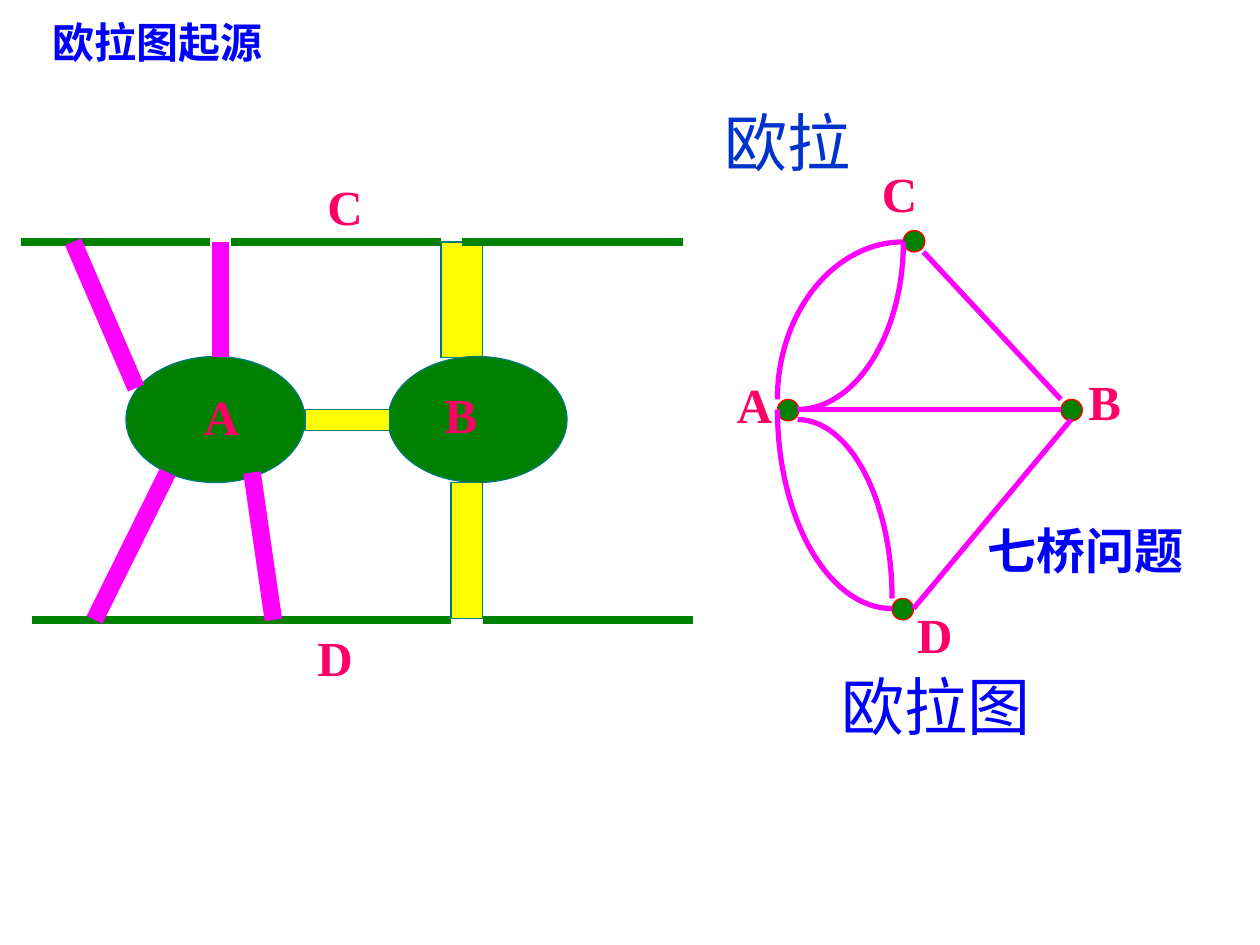
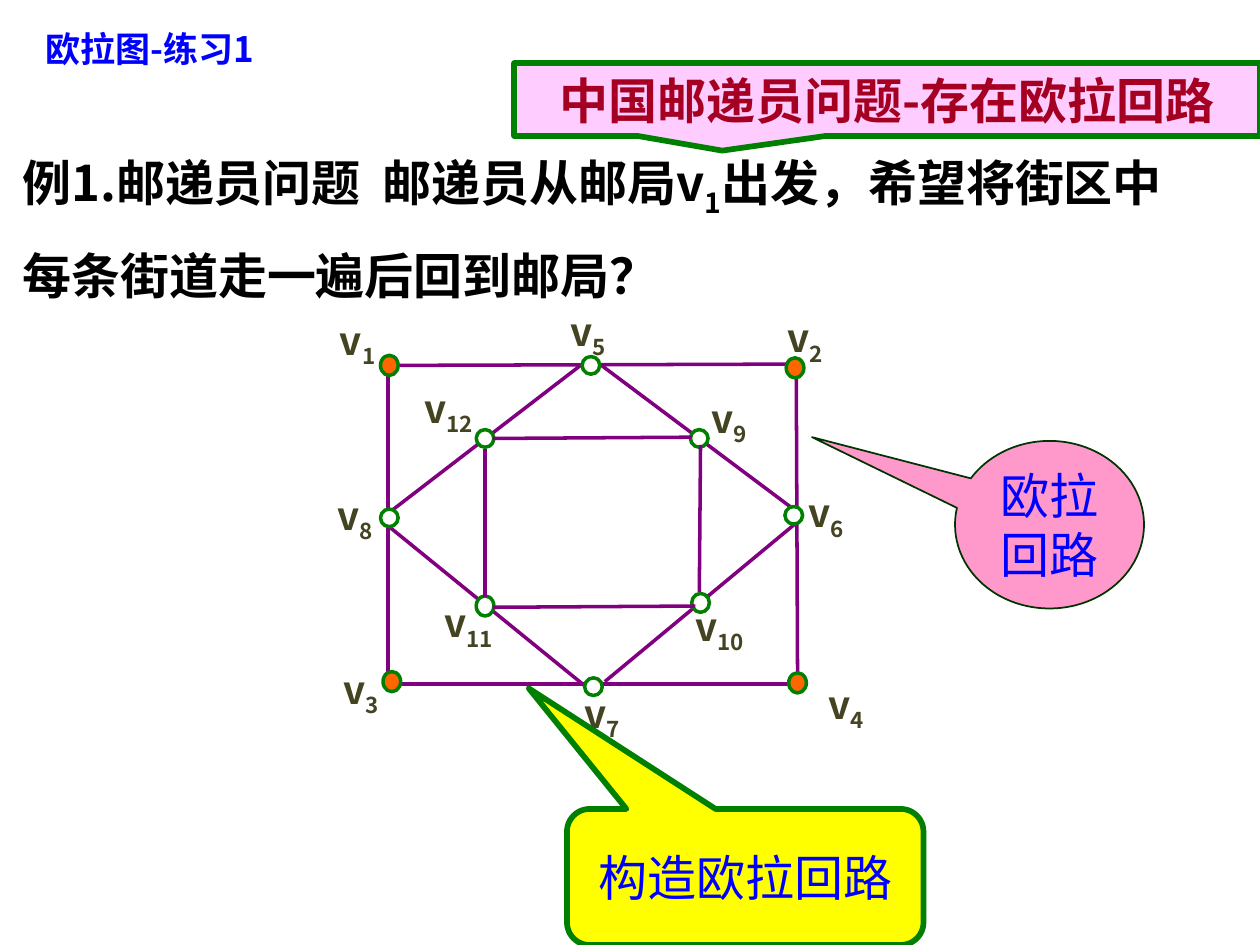
from lxml import etree
from pptx import Presentation
from pptx.dml.color import RGBColor
from pptx.enum.shapes import MSO_CONNECTOR, MSO_SHAPE
from pptx.enum.text import MSO_ANCHOR, MSO_AUTO_SIZE, PP_ALIGN
from pptx.oxml.ns import qn
from pptx.util import Inches, Pt

STRAIGHT = MSO_CONNECTOR.STRAIGHT
ELLIPSE = MSO_SHAPE.OVAL
RECTANGLE = MSO_SHAPE.RECTANGLE
ELLIPSE_CALLOUT = MSO_SHAPE.OVAL_CALLOUT
ROUNDED_CALLOUT = MSO_SHAPE.ROUNDED_RECTANGULAR_CALLOUT
RECTANGLE_CALLOUT = MSO_SHAPE.RECTANGULAR_CALLOUT
MIDDLE = MSO_ANCHOR.MIDDLE
CENTER = PP_ALIGN.CENTER
GROW = MSO_AUTO_SIZE.SHAPE_TO_FIT_TEXT

SANS = "Noto Sans CJK SC"
ARIAL = "Arial"
SERIF = "Times New Roman"

COLORS = {
    "white": "FFFFFF", "black": "000000", "blue": "0000FF", "navy": "0033CC",
    "green": "008000", "dark green": "003300", "teal": "007A77",
    "yellow": "FFFF00", "magenta": "FF00FF", "red": "FF0000",
    "letter": "FF0066", "purple": "800080", "orange": "FF6600",
    "olive": "444322", "pink": "FF99CC", "light pink": "FFCCFF",
    "crimson": "A50021",
}


def color(name):
    return RGBColor.from_string(COLORS[name])


class Painter:
    def __init__(self, deck):
        self.deck = deck
        self.page = None

    def new_page(self):
        self.page = self.deck.slides.add_slide(self.deck.slide_layouts[6])

    def style(self, para, size, ink, font, bold):
        para.font.size = Pt(size)
        para.font.bold = bold
        para.font.name = font
        para.font.color.rgb = color(ink)
        properties = para.font._element
        east_asian = etree.SubElement(properties, qn("a:ea"))
        east_asian.set("typeface", font)

    def text(self, at, spans, size, ink, font=SANS, bold=True, wrap=True, spacing=None):
        box = self.page.shapes.add_textbox(*map(Inches, at))
        frame = box.text_frame
        frame.word_wrap = wrap
        frame.auto_size = GROW
        para = frame.paragraphs[0]
        for index, words in enumerate(spans):
            span = para.add_run()
            span.text = words
            if index % 2:
                span.font._element.set("baseline", "-25000")
        if spacing:
            para.line_spacing = spacing
        self.style(para, size, ink, font, bold)

    def title(self, at, words, size):
        self.text(at, [words], size, "blue")

    def letter(self, name, left, top):
        width = 0.46 if name == "B" else 0.48
        self.text((left, top, width, 0.57), [name], 28, "letter", SERIF, wrap=False)

    def vertex_label(self, number, left, top):
        width = 0.7 if number > 9 else 0.56
        self.text((left, top, width, 0.43), ["v", str(number)], 22, "olive", spacing=0.9)

    def shape(self, kind, at, fill, line, width):
        shape = self.page.shapes.add_shape(kind, *map(Inches, at))
        shape.shadow.inherit = False
        shape.fill.solid()
        shape.fill.fore_color.rgb = color(fill)
        shape.line.color.rgb = color(line)
        shape.line.width = Pt(width)
        return shape

    def callout(self, kind, at, pointer, words, fill, line, width, ink="blue", font=ARIAL, bold=False):
        shape = self.shape(kind, at, fill, line, width)
        for index, value in enumerate(pointer):
            shape.adjustments[index] = value
        frame = shape.text_frame
        frame.word_wrap = True
        frame.vertical_anchor = MIDDLE
        para = frame.paragraphs[0]
        para.text = words
        para.alignment = CENTER
        self.style(para, 28, ink, font, bold)

    def line(self, ends, ink, width):
        line = self.page.shapes.add_connector(STRAIGHT, *map(Inches, ends))
        line.line.color.rgb = color(ink)
        line.line.width = Pt(width)
        etree.SubElement(line._element.spPr, qn("a:effectLst"))

    def quarter_arc(self, x1, y1, x2, y2, ink, width):
        bend = 0.55
        points = [(x1 + bend * (x2 - x1), y1), (x2, y2 + bend * (y1 - y2)), (x2, y2)]
        builder = self.page.shapes.build_freeform(Inches(x1), Inches(y1))
        builder.add_line_segments([(Inches(x), Inches(y)) for x, y in points], close=False)
        arc = builder.convert_to_shape()
        segments = list(arc._element.iter(qn("a:lnTo")))
        outline = segments[0].getparent()
        curve = etree.SubElement(outline, qn("a:cubicBezTo"))
        for segment in segments:
            curve.append(segment[0])
            outline.remove(segment)
        arc.shadow.inherit = False
        arc.fill.background()
        arc.line.color.rgb = color(ink)
        arc.line.width = Pt(width)


def draw_origin(painter):
    painter.new_page()
    painter.title((0.32, 0.08, 3.02, 0.5), "欧拉图起源", 24)
    painter.text((5.65, 0.77, 2.18, 0.7), ["欧拉"], 36, "navy", ARIAL, False)

    for left, top in [(7.08, 4.75), (8.42, 3.17), (6.17, 3.17), (7.17, 1.83)]:
        painter.shape(ELLIPSE, (left, top, 0.17, 0.17), "green", "red", 0.75)
    for name, left, top in [("C", 6.9, 1.25), ("D", 7.18, 4.75), ("A", 5.75, 2.92), ("B", 8.54, 2.9)]:
        painter.letter(name, left, top)
    for ends in [(8.42, 3.17, 7.33, 2), (6.33, 3.25, 8.42, 3.25), (7.25, 4.83, 8.5, 3.33)]:
        painter.line(ends, "magenta", 3)
    for ends in [(7.17, 1.92, 6.17, 3.17), (6.33, 3.33, 7.08, 4.75),
                 (6.33, 3.25, 7.17, 1.92), (7.08, 4.83, 6.17, 3.25)]:
        painter.quarter_arc(*ends, "magenta", 3)

    north, south = 1.92, 4.92
    painter.line((1.92, south, 3.58, south), "green", 4.25)
    painter.shape(RECTANGLE, (3.5, north, 0.33, 0.92), "yellow", "teal", 0.75)
    for start, end, bank in [(0.17, 1.67, north), (1.83, 3.5, north), (3.67, 5.42, north),
                             (0.25, 1.92, south), (3.83, 5.5, south)]:
        painter.line((start, bank, end, bank), "green", 4.25)
    for left in (1, 3.08):
        painter.shape(ELLIPSE, (left, 2.83, 1.42, 1), "green", "teal", 0.75)
    for bridge in [(2.42, 3.25, 0.67, 0.17), (3.58, 3.83, 0.25, 1.08)]:
        painter.shape(RECTANGLE, bridge, "yellow", "teal", 0.75)
    for name, left, top in [("C", 2.5, 1.35), ("D", 2.42, 4.93), ("A", 1.52, 3.02), ("B", 3.43, 3)]:
        painter.letter(name, left, top)
    for bridge in [(0.58, north, 1.08, 3.08), (1.75, 2.83, 1.75, north),
                   (2, 3.75, 2.17, south), (1.33, 3.75, 0.75, south)]:
        painter.line(bridge, "magenta", 10)

    painter.text((6.58, 5.25, 2.93, 0.7), ["欧拉图"], 36, "blue", ARIAL, False)
    painter.text((7.74, 4.08, 1.92, 0.57), ["七桥问题"], 28, "blue", ARIAL)


def draw_postman(painter):
    painter.new_page()
    painter.text((0.08, 0.92, 9.5, 1.45),
                 ["例1.邮递员问题  邮递员从邮局v", "1", "出发，希望将街区中每条街道走一遍后回到邮局？"],
                 28, "black", spacing=1.45)

    outer_streets = [
        (3.14, 2.9, 6.26, 2.89), (6.32, 2.99, 6.33, 5.38),
        (3.11, 5.43, 6.37, 5.43), (3.08, 2.95, 3.08, 5.42),
        (6.32, 4.15, 4.8, 5.41), (3.1, 4.19, 4.65, 5.45),
        (4.76, 2.89, 6.35, 4.08), (4.66, 2.86, 3.06, 4.09),
    ]
    inner_streets = [
        (3.91, 4.82, 5.52, 4.81), (3.91, 3.48, 5.49, 3.47),
        (5.56, 3.53, 5.55, 4.7), (3.85, 3.56, 3.85, 4.74),
    ]
    inner_vertices = [(3.78, 4.73, 0.16), (5.49, 4.71, 0.15), (5.48, 3.41, 0.14), (3.78, 3.41, 0.14)]
    middle_vertices = [(4.62, 2.83, 0.14), (3.02, 4.04, 0.14), (4.64, 5.38, 0.14), (6.23, 4.02, 0.14)]
    corner_vertices = [(3.04, 5.33, 0.16), (6.26, 5.34, 0.16), (6.24, 2.84, 0.16), (3.02, 2.82, 0.16)]

    def draw_streets(streets):
        for ends in streets:
            painter.line(ends, "purple", 2)

    def draw_vertices(vertices, fill):
        for left, top, height in vertices:
            painter.shape(ELLIPSE, (left, top, 0.14, height), fill, "green", 2)

    draw_streets(outer_streets)
    draw_vertices(inner_vertices, "white")
    draw_streets(inner_streets)
    draw_vertices(middle_vertices, "white")
    draw_vertices(corner_vertices, "orange")

    label_places = [
        (2.6, 2.47), (6.15, 2.45), (2.63, 5.24), (6.48, 5.36),
        (4.43, 2.4), (6.32, 3.84), (4.54, 5.43), (2.58, 3.86),
        (5.55, 3.09), (5.42, 4.74), (3.43, 4.71), (3.27, 3.01),
    ]
    for number, place in enumerate(label_places, 1):
        painter.vertex_label(number, *place)

    painter.callout(ELLIPSE_CALLOUT, (7.58, 3.5, 1.5, 1.33), (-1.257, -0.523),
                    "欧拉回路", "pink", "dark green", 1)
    painter.callout(ROUNDED_CALLOUT, (4.5, 6.42, 2.83, 1.08), (-0.607, -1.386, 0.167),
                    "构造欧拉回路", "yellow", "green", 3.25)
    painter.callout(RECTANGLE_CALLOUT, (4.08, 0.5, 5.92, 0.58), (-0.221, 0.699),
                    "中国邮递员问题-存在欧拉回路", "light pink", "green", 3.25,
                    "crimson", SANS, True)
    painter.title((0.26, 0.17, 3.02, 0.43), "欧拉图-练习1", 20)


def main():
    deck = Presentation()
    deck.slide_width = Inches(10)
    deck.slide_height = Inches(7.5)
    painter = Painter(deck)
    draw_origin(painter)
    draw_postman(painter)
    deck.save("out.pptx")


if __name__ == "__main__":
    main()
